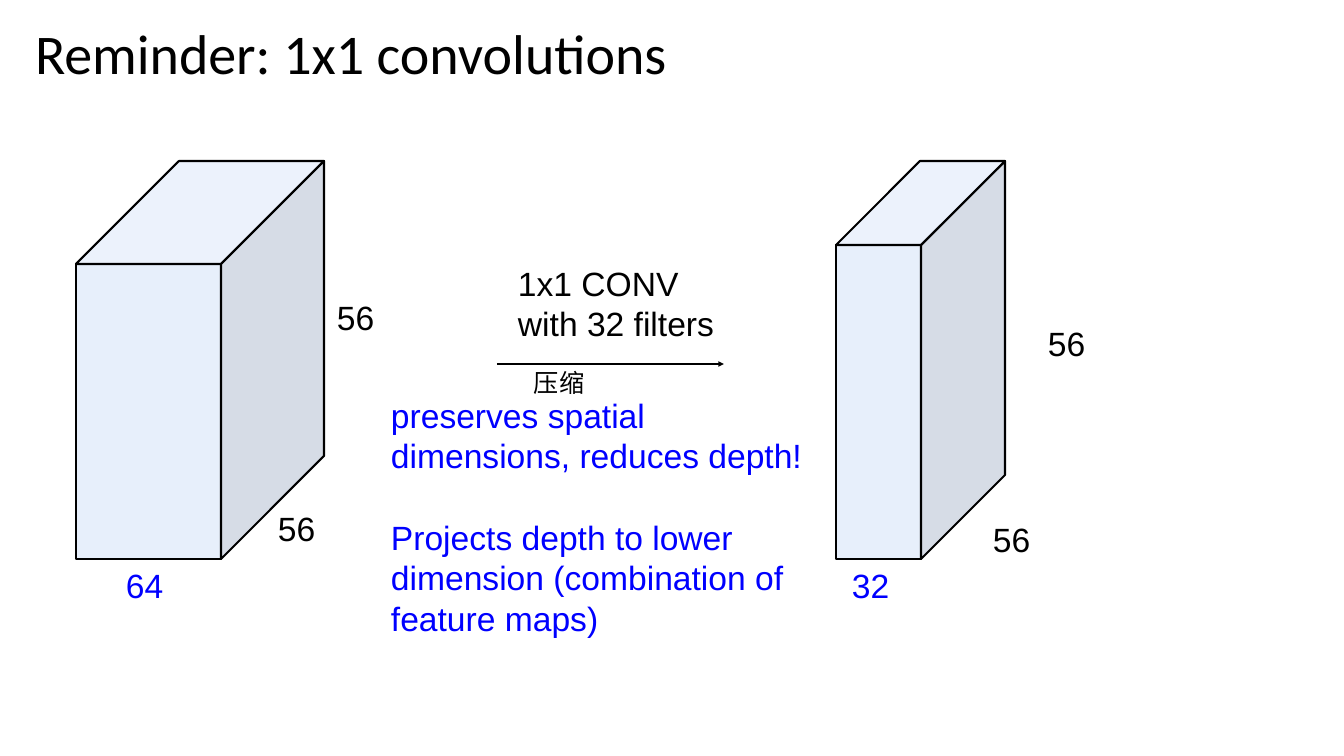
from dataclasses import dataclass

from lxml import etree
from pptx import Presentation
from pptx import util as u
from pptx.dml.color import RGBColor
from pptx.enum import shapes, text
from pptx.oxml import ns

PX = 914400 / 100.8


@dataclass(frozen=True)
class Theme:
    ink: str = "000000"
    accent: str = "0000FF"
    front: str = "C9DAF7"
    side: str = "A0AEC6"
    top: str = "D3E1F9"
    face_alpha: int = 43000
    heading_font: str = "Calibri"
    body_font: str = "Arial"
    title_size: int = 40
    body_size: int = 24
    note_size: int = 18
    edge_width: float = 1.5
    arrow_width: float = 0.75


THEME = Theme()


def px(length):
    return u.Emu(round(length * PX))


def add_text(slide, box, wording, color=THEME.ink, font=THEME.body_font,
             size=THEME.body_size, spacing=1.0, anchor=text.MSO_ANCHOR.TOP,
             insets=(2, 2)):
    shape = slide.shapes.add_textbox(*map(px, box))
    frame = shape.text_frame
    frame.word_wrap = True
    frame.vertical_anchor = anchor
    frame.margin_left, frame.margin_top = map(px, insets)
    frame.margin_right = frame.margin_bottom = 0
    frame.text = wording
    for paragraph in frame.paragraphs:
        paragraph.line_spacing = spacing
        paragraph.font.name = font
        paragraph.font.size = u.Pt(size)
        paragraph.font.color.rgb = RGBColor.from_string(color)


def add_face(slide, points, color):
    builder = slide.shapes.build_freeform(*points[0], scale=PX)
    builder.add_line_segments(points[1:], close=True)
    shape = builder.convert_to_shape()
    shape.shadow.inherit = False
    shape.fill.solid()
    shape.fill.fore_color.rgb = RGBColor.from_string(color)
    solid_color = shape.fill._xPr.find(".//" + ns.qn("a:srgbClr"))
    etree.SubElement(solid_color, ns.qn("a:alpha"), val=str(THEME.face_alpha))
    shape.line.color.rgb = RGBColor.from_string(THEME.ink)
    shape.line.width = u.Pt(THEME.edge_width)


def add_volume(slide, box, depth, channels, labels):
    left, top, width, height = box
    right, back = left + width, left + width - depth
    front_top, bottom = top + depth, top + height
    add_face(slide, [(left, front_top), (back, front_top), (back, bottom), (left, bottom)],
             THEME.front)
    add_face(slide, [(back, bottom), (back, front_top), (right, top), (right, bottom - depth)],
             THEME.side)
    add_face(slide, [(back, front_top), (left, front_top), (left + depth, top), (right, top)],
             THEME.top)
    colors = (THEME.accent, THEME.ink, THEME.ink)
    for wording, (x, y), color in zip((channels, "56", "56"), labels, colors):
        add_text(slide, (left + x, top + y, 46, 42), wording, color)


def add_convolution(slide, box):
    left, top, width, height = box
    add_text(slide, (left + 19, top, 206, 84), "1x1 CONV\nwith 32 filters")
    y = top + 103
    arrow = slide.shapes.add_connector(shapes.MSO_CONNECTOR.STRAIGHT,
                                       px(left), px(y), px(left + width), px(y))
    arrow.line.color.rgb = RGBColor.from_string(THEME.ink)
    arrow.line.width = u.Pt(THEME.arrow_width)
    etree.SubElement(arrow.line._get_or_add_ln(), ns.qn("a:tailEnd"),
                     type="triangle", w="sm", len="sm")
    etree.SubElement(arrow._element.spPr, ns.qn("a:effectLst"))
    add_text(slide, (left + 27, top + 101, 166, height - 101), "压缩",
             font=THEME.heading_font, size=THEME.note_size, insets=(10, 5))


def add_explanation(slide, box):
    left, top, width, height = box
    add_text(slide, (left, top, width, 82),
             "preserves spatial\vdimensions, reduces depth!", THEME.accent)
    add_text(slide, (left, top + 122, width, height - 122),
             "Projects depth to lower\vdimension (combination of\vfeature maps)",
             THEME.accent)


def build_slide(presentation):
    slide = presentation.slides.add_slide(presentation.slide_layouts[6])
    add_text(slide, (33, 20, 695, 70), "Reminder: 1x1 convolutions",
             font=THEME.heading_font, size=THEME.title_size, spacing=0.9,
             anchor=text.MSO_ANCHOR.MIDDLE)
    add_volume(slide, (76, 161, 248, 398), 103, "64", [(48, 402), (200, 345), (259, 134)])
    add_convolution(slide, (497, 261, 227, 141))
    add_volume(slide, (836, 161, 169, 398), 84, "32", [(14, 402), (155, 356), (210, 160)])
    add_explanation(slide, (389, 393, 420, 244))


def main():
    presentation = Presentation()
    presentation.slide_width, presentation.slide_height = px(1344), px(756)
    build_slide(presentation)
    presentation.save("out.pptx")


if __name__ == "__main__":
    main()
